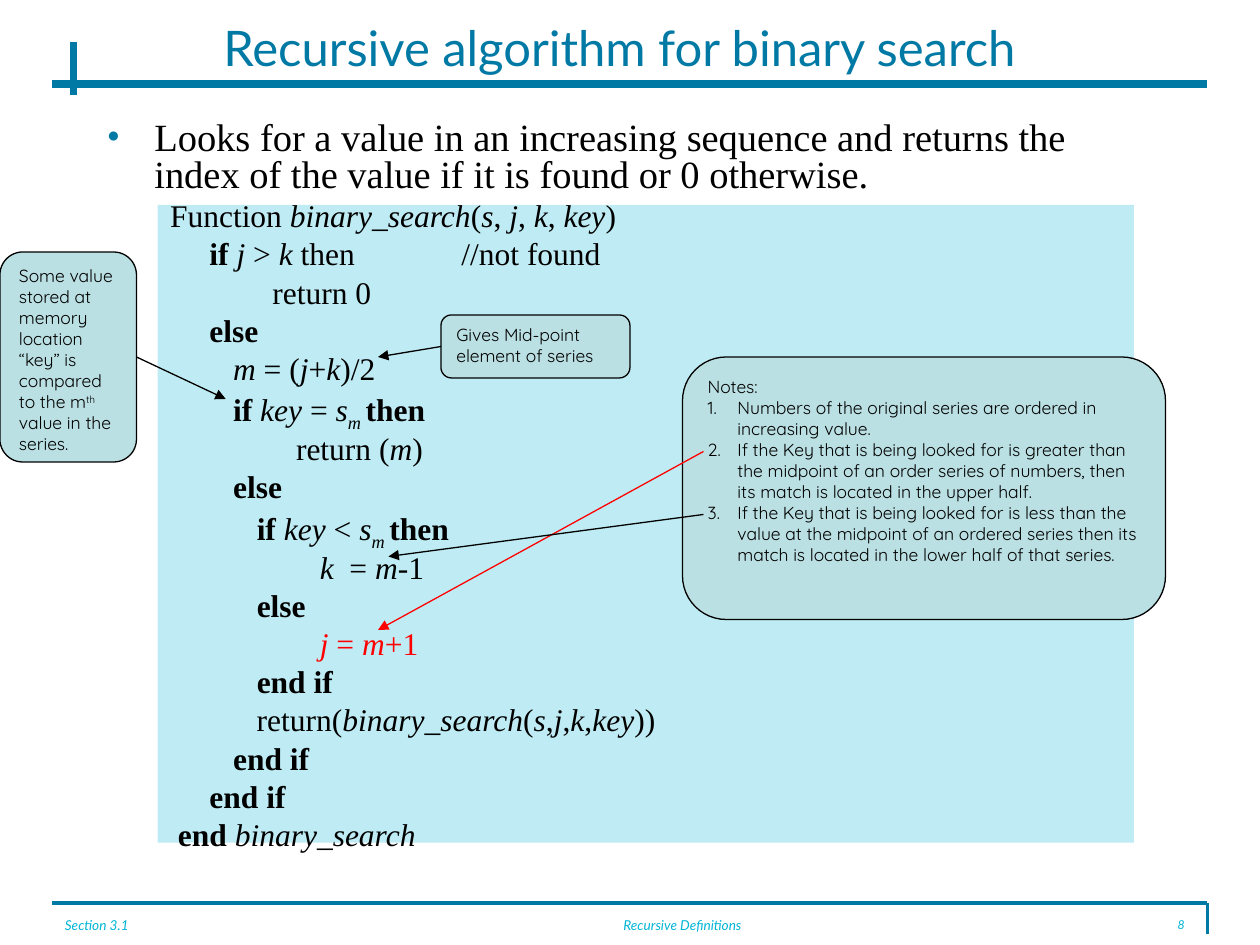
from lxml import etree
from pptx import Presentation
from pptx.dml.color import RGBColor
from pptx.enum.shapes import MSO_CONNECTOR, MSO_SHAPE
from pptx.enum.text import MSO_ANCHOR, MSO_AUTO_SIZE, PP_ALIGN
from pptx.oxml.ns import qn
from pptx.util import Pt

LINE = MSO_CONNECTOR.STRAIGHT
RECT, ROUND = MSO_SHAPE.RECTANGLE, MSO_SHAPE.ROUNDED_RECTANGLE
ALTERNATE = MSO_SHAPE.FLOWCHART_ALTERNATE_PROCESS
LEFT, CENTER, RIGHT = PP_ALIGN.LEFT, PP_ALIGN.CENTER, PP_ALIGN.RIGHT
TOP, MIDDLE = MSO_ANCHOR.TOP, MSO_ANCHOR.MIDDLE
LEFT_SIDE, RIGHT_SIDE = 1, 3

COLORS = {"blue": "007AA5", "cyan": "00B5D6", "callout": "BBE0E3",
          "black": "000000", "red": "FF0000"}

# Inline marks that switch a run style: * italic, # bold, ~ subscript, ^ superscript, ! red
MARKS = "*#~^!"

TITLE = "Recursive algorithm for binary search"
INTRO = ("Looks for a value in an increasing sequence and returns the index "
         "of the value if it is found or 0 otherwise.")
CODE = [
    "Function *binary_search*(*s*, *j*, *k*, *key*)",
    "\t#if #*j* > *k* then\t\t//not found",
    "\t\treturn 0",
    " \t#else#",
    " \t   *m* = (*j*+*k*)/2",
    " \t   #if #*key* = *s~m ~*#then#",
    " \t\t   return (*m*)",
    " \t   #else#",
    " \t      #if #*key* < *s~m ~*#then#",
    "\t\t      *k*  = *m*-1",
    " \t      #else#",
    " \t\t      !*j* = *m*+1!",
    " \t      #end if#",
    " \t      return(*binary_search*(*s*,*j*,*k*,*key*))",
    "\t   #end if#",
    "#     end if#",
    " #end #*binary_search*",
]
NOTES = [
    "Numbers of the original series are ordered in increasing value.",
    "If the Key that is being looked for is greater than the midpoint of an order "
    "series of numbers, then its match is located in the upper half.",
    "If the Key that is being looked for is less than the value at the midpoint of an "
    "ordered series then its match is located in the lower half of that series.",
]
KEY_NOTE = "Some value stored at memory location “key” is compared to the m^th ^value in the series."
MID_NOTE = "Gives Mid-point element of series"

# text, left, width, size, alignment
FOOTERS = [("Section 3.1", 30, 126, 7.8, LEFT),
           ("Recursive Definitions", 240, 300, 7.8, CENTER),
           ("8", 630, 54, 7, RIGHT)]
# start, end, width
RULES = [((30, 516), (690, 516), 2.25), ((690, 516), (690, 534), 2.25),
         ((30, 48), (690, 48), 4.5), ((42, 24), (42, 54), 4.5)]

TEXT = {"title": {"name": "Lato", "size": Pt(28)},
        "intro": {"name": "Times New Roman", "size": Pt(22)},
        "code": {"name": "Times New Roman", "size": Pt(18)},
        "note": {"name": "Quicksand", "size": Pt(10)},
        "footer": {"name": "Lato", "italic": True}}


def rgb(name):
    return RGBColor.from_string(COLORS[name])


def sub(parent, tag, **attrs):
    return etree.SubElement(parent, qn(tag), attrs)


def place(sp, box):
    sp.left, sp.top, sp.width, sp.height = map(Pt, box)


def frame(sp, anchor=TOP):
    tf = sp.text_frame
    tf.word_wrap, tf.auto_size, tf.vertical_anchor = True, MSO_AUTO_SIZE.NONE, anchor
    return tf


def add_run(p, text, on, fmt, color):
    r = p.add_run()
    r.text = text
    for key, value in fmt.items():
        setattr(r.font, key, value)
    r.font.color.rgb = rgb("red" if "!" in on else color)
    if "*" in on:
        r.font.italic = True
    if "#" in on:
        r.font.bold = True
    for mark, shift in (("~", "-25000"), ("^", "30000")):
        if mark in on:
            r.font._element.set("baseline", shift)


def write(p, text, fmt, color="black"):
    on, part = set(), ""
    for ch in text:
        if ch not in MARKS:
            part += ch
            continue
        if part:
            add_run(p, part, on, fmt, color)
        on, part = on ^ {ch}, ""
    if part:
        add_run(p, part, on, fmt, color)


def indent(p, margin, first):
    pPr = p._p.get_or_add_pPr()
    pPr.set("marL", str(Pt(margin)))
    pPr.set("indent", str(Pt(first)))
    return pPr


def add_line(start, end, width, color, arrow=False):
    c = s.shapes.add_connector(LINE, *map(Pt, start + end))
    c.line.width, c.line.color.rgb = Pt(width), rgb(color)
    if arrow:
        sub(c.line._get_or_add_ln(), "a:tailEnd", type="triangle")
    sub(c._element.spPr, "a:effectLst")
    return c


def add_callout(kind, box, text):
    sp = s.shapes.add_shape(kind, *map(Pt, box))
    sp.shadow.inherit = False
    sp.fill.solid()
    sp.fill.fore_color.rgb = rgb("callout")
    sp.line.width, sp.line.color.rgb = Pt(0.75), rgb("black")
    p = frame(sp).paragraphs[0]
    p.alignment = LEFT
    write(p, text, TEXT["note"])
    return sp


prs = Presentation()
prs.slide_width, prs.slide_height = Pt(720), Pt(540)
s = prs.slides.add_slide(prs.slide_layouts[1])

# Rules around the page
for start, end, width in RULES:
    add_line(start, end, width, "blue")

# Tinted panel behind the code
panel = s.shapes.add_shape(RECT, Pt(90), Pt(117), Pt(558), Pt(364.5))
panel.shadow.inherit = False
panel.fill.solid()
panel.fill.fore_color.rgb = rgb("cyan")
panel.line.fill.background()
sub(panel._element.spPr.find(qn("a:solidFill"))[0], "a:alpha", val="25000")

# Footer
for text, left, width, size, align in FOOTERS:
    sp = s.shapes.add_textbox(Pt(left), Pt(522), Pt(width), Pt(18))
    p = frame(sp).paragraphs[0]
    p.alignment, p.line_spacing = align, 0.8
    write(p, text, {**TEXT["footer"], "size": Pt(size)}, "cyan")

# Title and body, in front of the panel
title, body = s.shapes.title, s.placeholders[1]
for sp, box in ((title, (48, 12, 612, 30)), (body, (54, 66, 612, 432))):
    place(sp, box)
    s.shapes._spTree.append(sp._element)
p = frame(title, MIDDLE).paragraphs[0]
p.alignment = CENTER
write(p, TITLE, TEXT["title"], "blue")

tf = frame(body)
p = tf.paragraphs[0]
p.line_spacing, p.space_before = 0.8, Pt(0)
pPr = indent(p, 27, -27)
sub(sub(pPr, "a:buClr"), "a:srgbClr", val=COLORS["blue"])
sub(pPr, "a:buSzPct", val="55000")
sub(pPr, "a:buChar", char="●")
write(p, INTRO, TEXT["intro"])

for line in CODE:
    p = tf.add_paragraph()
    p.level, p.line_spacing, p.space_before = 1, 0.8, Pt(4.5)
    pPr = indent(p, 58.5, -22.5)
    sub(pPr, "a:buNone")
    tabs = sub(pPr, "a:tabLst")
    for i in range(8):
        sub(tabs, "a:tab", pos=str(Pt(72 * i)), algn="l")
    write(p, line, TEXT["code"])

# Numbered notes with arrows to the branches
notes = add_callout(ALTERNATE, (390, 204, 276, 150), "Notes:")
for note in NOTES:
    p = notes.text_frame.add_paragraph()
    p.alignment = LEFT
    sub(indent(p, 17, -17), "a:buAutoNum", type="arabicPeriod")
    write(p, note, TEXT["note"])
add_line((402, 258), (216, 360), 0.75, "red", arrow=True)
add_line((402, 294), (222, 318), 0.75, "black", arrow=True)

# Side callouts, each joined to its arrow
for box, text, side, start, end in (
        ((252, 180, 108, 36), MID_NOTE, LEFT_SIDE, (252, 198), (216, 204)),
        ((0, 144, 78, 120), KEY_NOTE, RIGHT_SIDE, (78, 204), (129, 228))):
    sp = add_callout(ROUND, box, text)
    add_line(start, end, 0.75, "black", arrow=True).begin_connect(sp, side)

prs.save("out.pptx")
